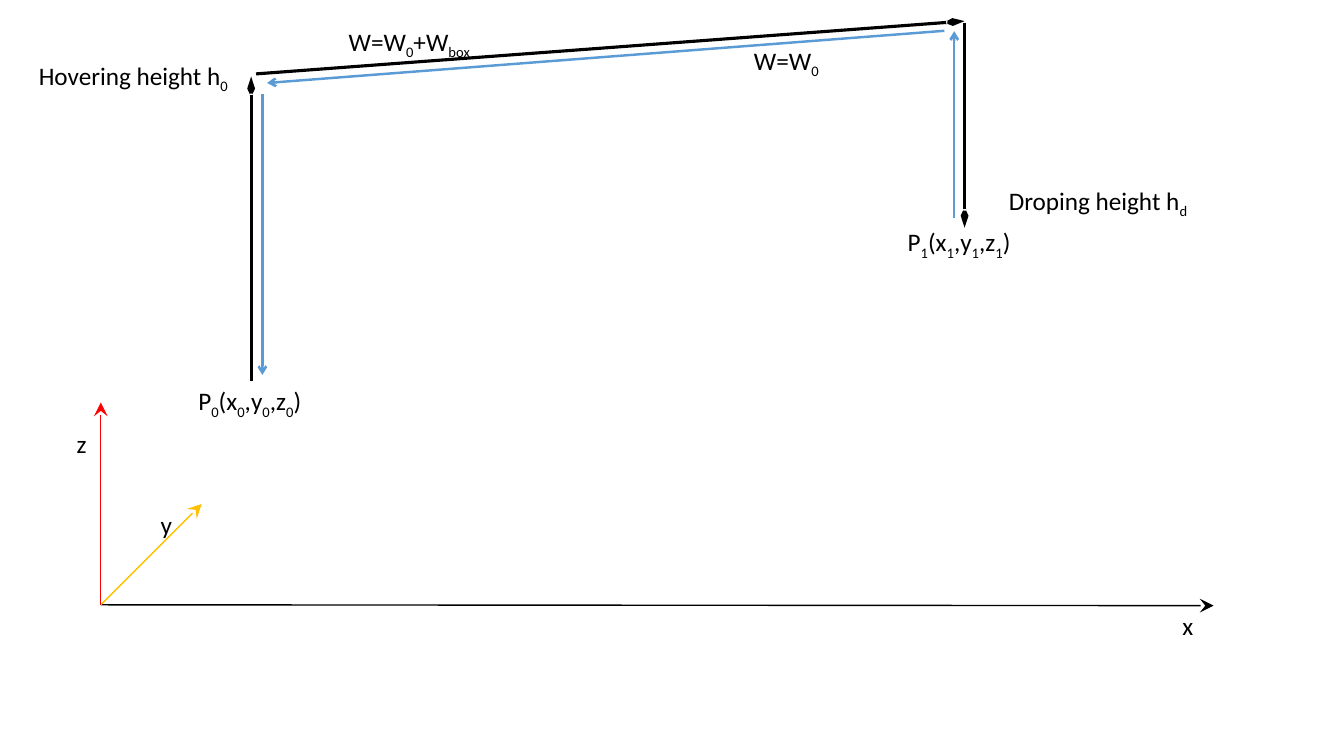
from dataclasses import dataclass

from pptx import Presentation
from pptx.dml.color import RGBColor
from pptx.enum.shapes import MSO_CONNECTOR
from pptx.enum.text import MSO_AUTO_SIZE
from pptx.oxml.ns import qn
from pptx.slide import Slide
from pptx.util import Pt
from lxml.etree import SubElement

COLORS = {"black": "000000", "red": "FF0000", "gold": "FFC000", "blue": "5B9BD5"}


@dataclass
class Style:
    color: str
    width: float
    head: str
    breadth: str
    length: str


@dataclass
class Arrow:
    start: tuple[float, float]
    end: tuple[float, float]
    style: Style


@dataclass
class Label:
    text: str  # every second part between bars is a subscript
    left: float
    top: float
    width: float
    height: float = 29


def axis(color: str) -> Style:
    return Style(color, 1, "stealth", "lg", "lg")


LOADED = Style("black", 2.25, "arrow", "sm", "lg")
EMPTY = Style("blue", 1.75, "arrow", "med", "med")
ORIGIN = (72, 432)

ARROWS = [
    # Coordinate axes
    Arrow(ORIGIN, (866.9, 432.6), axis("black")),
    Arrow(ORIGIN, (144, 360), axis("gold")),
    Arrow(ORIGIN, (72, 287.5), axis("red")),
    # Flight with the box
    Arrow((179.4, 272), (179.4, 54.7), LOADED),
    Arrow((182.9, 52.8), (689, 15.1), LOADED),
    Arrow((689, 16.4), (689, 162.7), LOADED),
    # Flight back
    Arrow((681.6, 155.6), (681.6, 22.3), EMPTY),
    Arrow((674.6, 22), (190.8, 59.3), EMPTY),
    Arrow((187.4, 67), (187.4, 267.8), EMPTY),
]

LABELS = [
    # Axis names
    Label("x", 837.4, 432.6, 29.5),
    Label("z", 47.7, 302.2, 24.5),
    Label("y", 107.6, 360, 15.1),
    # End points
    Label("P|0|(x|0|,y|0|,z|0|)", 134.6, 272, 234.7),
    Label("P|1|(x|1|,y|1|,z|1|)", 641.2, 158.4, 207.4),
    # Heights
    Label("Hovering height h|0", 20.6, 39.6, 183.6),
    Label("Droping height h|d", 713.5, 128.9, 165.6),
    # Weights
    Label("W=W|0|+W|box", 242, 15.1, 120.2, 51),
    Label("W=W|0", 531.4, 28.8, 95, 51),
]


def draw(slide: Slide, arrow: Arrow) -> None:
    style = arrow.style
    ends = [Pt(v) for v in (*arrow.start, *arrow.end)]
    shape = slide.shapes.add_connector(MSO_CONNECTOR.STRAIGHT, *ends)
    shape.line.width = Pt(style.width)
    shape.line.color.rgb = RGBColor.from_string(COLORS[style.color])
    # Arrowhead, and no shadow
    SubElement(shape.line._get_or_add_ln(), qn("a:tailEnd"),
               type=style.head, w=style.breadth, len=style.length)
    SubElement(shape._element.spPr, qn("a:effectLst"))


def write(slide: Slide, label: Label) -> None:
    area = [Pt(v) for v in (label.left, label.top, label.width, label.height)]
    frame = slide.shapes.add_textbox(*area).text_frame
    frame.word_wrap = True
    frame.auto_size = MSO_AUTO_SIZE.SHAPE_TO_FIT_TEXT
    for i, part in enumerate(label.text.split("|")):
        run = frame.paragraphs[0].add_run()
        run.text = part
        run.font.size = Pt(18)
        run.font.name = "Calibri"
        run.font.color.rgb = RGBColor.from_string(COLORS["black"])
        if i % 2:
            run.font._element.set("baseline", "-25000")


def main() -> None:
    deck = Presentation()
    deck.slide_width, deck.slide_height = Pt(960), Pt(540)
    slide = deck.slides.add_slide(deck.slide_layouts[6])
    for arrow in ARROWS:
        draw(slide, arrow)
    for label in LABELS:
        write(slide, label)
    deck.save("out.pptx")


if __name__ == "__main__":
    main()
